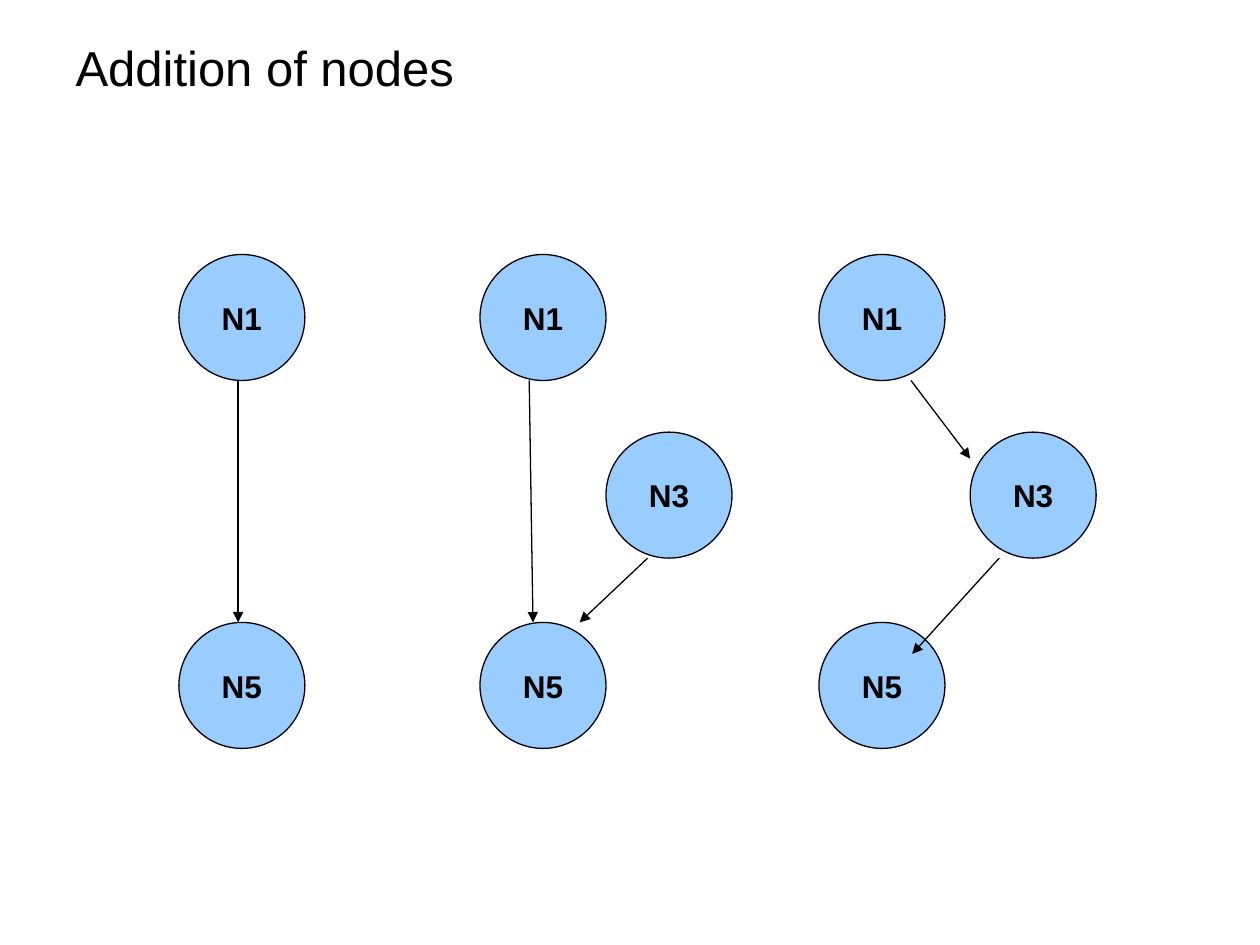
from dataclasses import dataclass

from lxml.etree import SubElement
from pptx import Presentation
from pptx.dml.color import RGBColor
from pptx.enum.shapes import MSO_CONNECTOR, MSO_SHAPE
from pptx.enum.text import MSO_ANCHOR, PP_ALIGN
from pptx.oxml.ns import qn
from pptx.util import Inches, Pt


@dataclass(frozen=True)
class Theme:
    font: str = "Arial"
    ink: RGBColor = RGBColor(0x00, 0x00, 0x00)
    node: RGBColor = RGBColor(0x99, 0xCC, 0xFF)
    title_size: int = 28
    node_size: int = 18
    line: float = 0.75


THEME = Theme()
NODE_SIZE = 1
GRAPH_TOP = 2.02
ROWS = {"N1": 0, "N3": 1.41, "N5": 2.92}


def style_text(tf, size, align, bold=False):
    tf.vertical_anchor = MSO_ANCHOR.MIDDLE
    p = tf.paragraphs[0]
    p.alignment = align
    font = p.runs[0].font
    font.name, font.size, font.bold = THEME.font, Pt(size), bold
    font.color.rgb = THEME.ink


def style_line(line):
    line.color.rgb = THEME.ink
    line.width = Pt(THEME.line)


def add_title(s, text, left, top, width, height):
    title = s.shapes.title
    title.left, title.top = Inches(left), Inches(top)
    title.width, title.height = Inches(width), Inches(height)
    title.text_frame.text = text
    style_text(title.text_frame, THEME.title_size, PP_ALIGN.LEFT)


def add_node(s, name, left, top):
    sp = s.shapes.add_shape(
        MSO_SHAPE.OVAL, Inches(left), Inches(top), Inches(NODE_SIZE), Inches(NODE_SIZE)
    )
    sp.shadow.inherit = False
    sp.fill.solid()
    sp.fill.fore_color.rgb = THEME.node
    style_line(sp.line)
    tf = sp.text_frame
    tf.word_wrap = False
    tf.text = name
    style_text(tf, THEME.node_size, PP_ALIGN.CENTER, bold=True)


def add_arrow(s, x1, y1, x2, y2):
    arrow = s.shapes.add_connector(
        MSO_CONNECTOR.STRAIGHT, Inches(x1), Inches(y1), Inches(x2), Inches(y2)
    )
    style_line(arrow.line)
    sp_pr = arrow.element.spPr
    SubElement(sp_pr.find(qn("a:ln")), qn("a:tailEnd"), type="triangle")
    SubElement(sp_pr, qn("a:effectLst"))


def add_graph(s, left, top, nodes, arrows):
    for name, x in nodes.items():
        add_node(s, name, left + x, top + ROWS[name])
    for x1, y1, x2, y2 in arrows:
        add_arrow(s, left + x1, top + y1, left + x2, top + y2)


def main():
    prs = Presentation()
    prs.slide_width, prs.slide_height = Inches(10), Inches(7.5)
    s = prs.slides.add_slide(prs.slide_layouts[5])
    add_title(s, "Addition of nodes", 0.5, 0.21, 9, 0.64)

    graphs = [
        (1.42, {"N1": 0, "N5": 0}, [(0.47, 1, 0.47, 2.92)]),
        (
            3.81,
            {"N1": 0, "N3": 1, "N5": 0},
            [(0.39, 1, 0.42, 2.92), (1.33, 2.41, 0.79, 2.92)],
        ),
        (
            6.5,
            {"N1": 0, "N3": 1.2, "N5": 0},
            [(0.73, 1, 1.2, 1.62), (1.43, 2.41, 0.74, 3.17)],
        ),
    ]
    for left, nodes, arrows in graphs:
        add_graph(s, left, GRAPH_TOP, nodes, arrows)

    prs.save("out.pptx")


if __name__ == "__main__":
    main()
